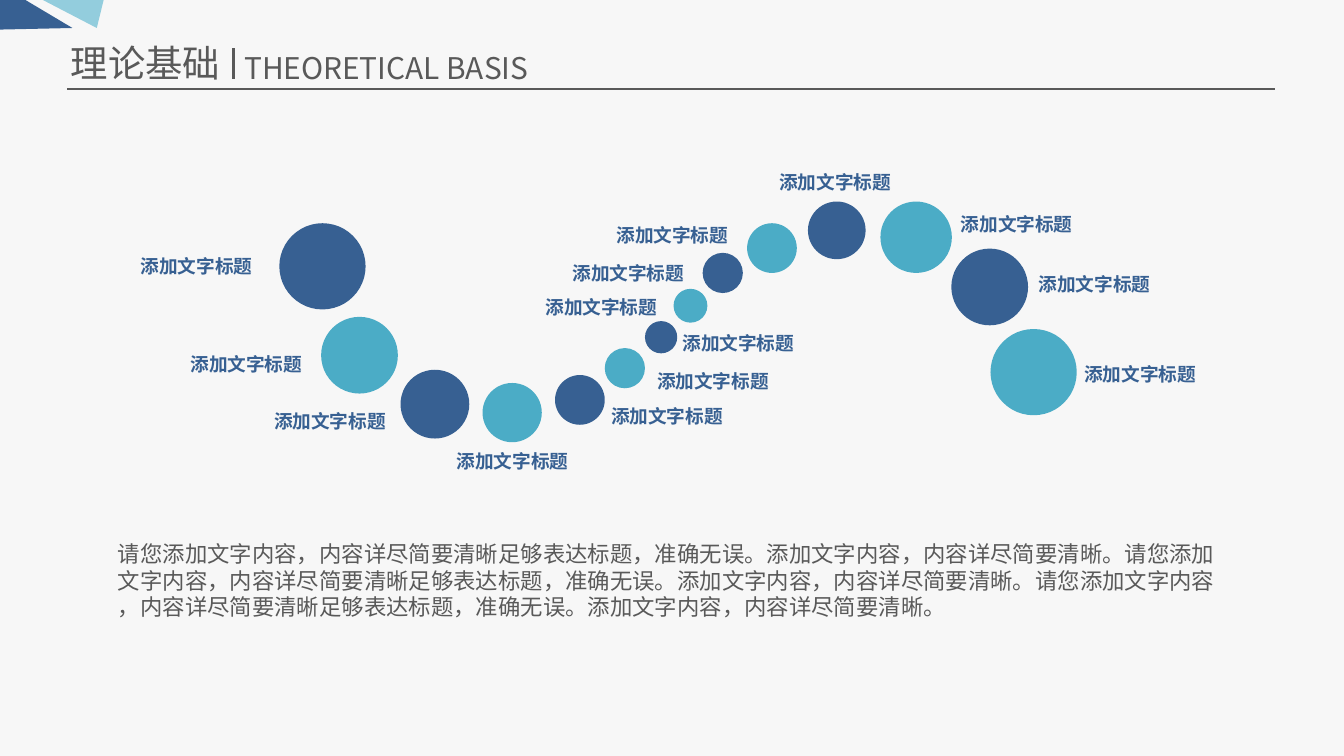
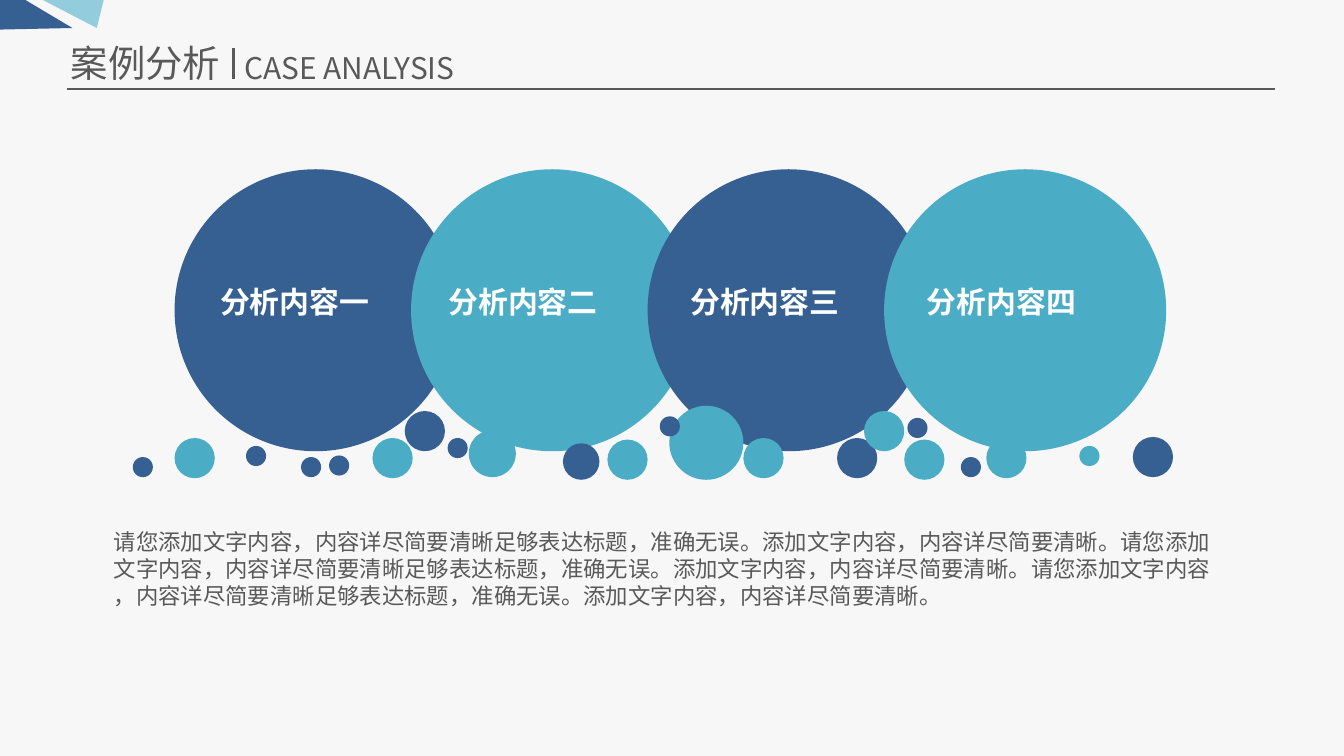
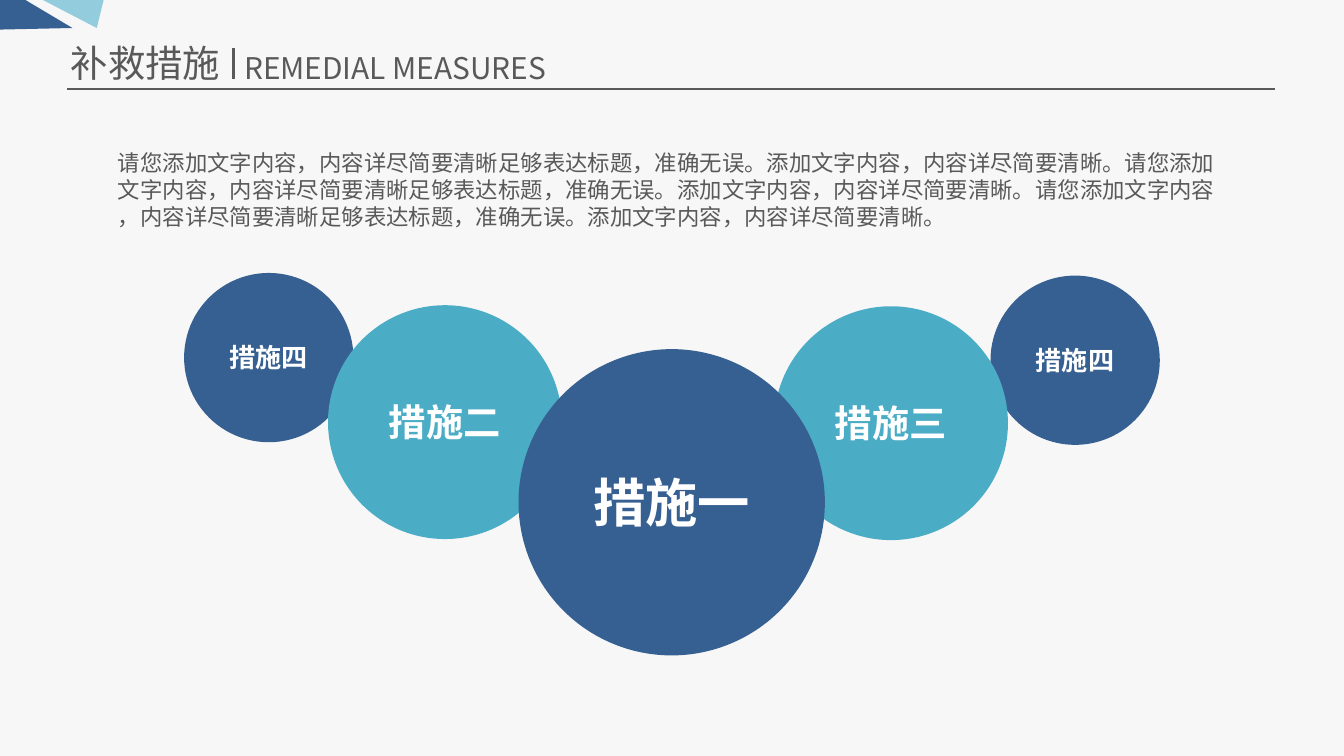
from dataclasses import dataclass
from itertools import cycle
from typing import Optional

from lxml.etree import SubElement
from pptx import Presentation
from pptx.dml.color import RGBColor
from pptx.enum.shapes import MSO_CONNECTOR, MSO_SHAPE
from pptx.enum.text import MSO_AUTO_SIZE
from pptx.oxml.ns import qn
from pptx.shapes.shapetree import GroupShapes, SlideShapes
from pptx.slide import Slide
from pptx.util import Cm, Pt

COLORS = {
    "background": "F7F7F7",
    "gray": "595959",
    "navy": "376092",
    "teal": "4BACC6",
    "sky": "93CDDD",
    "white": "FFFFFF",
}
FONT = "Noto Sans CJK SC"
BODY = "\n".join([
    "请您添加文字内容，内容详尽简要清晰足够表达标题，准确无误。添加文字内容，内容详尽简要清晰。请您添加",
    "文字内容，内容详尽简要清晰足够表达标题，准确无误。添加文字内容，内容详尽简要清晰。请您添加文字内容",
    "，内容详尽简要清晰足够表达标题，准确无误。添加文字内容，内容详尽简要清晰。",
])


@dataclass
class Bead:
    left: float
    top: float
    size: float
    label_left: float
    label_top: float


@dataclass
class Bubble:
    left: float
    top: float
    size: float
    color: str


@dataclass
class Measure:
    text: str
    left: float
    top: float
    size: float
    points: int
    color: str


BEADS = [
    Bead(5.28, 4.22, 1.63, 2.41, 4.7),
    Bead(6.07, 5.99, 1.45, 3.35, 6.55),
    Bead(7.57, 6.99, 1.3, 4.93, 7.62),
    Bead(9.12, 7.24, 1.12, 8.38, 8.38),
    Bead(10.49, 7.09, 0.94, 11.3, 7.52),
    Bead(11.43, 6.58, 0.76, 12.17, 6.86),
    Bead(12.19, 6.07, 0.61, 12.65, 6.15),
    Bead(12.73, 5.46, 0.64, 10.06, 5.46),
    Bead(13.28, 4.78, 0.76, 10.57, 4.83),
    Bead(14.12, 4.22, 0.94, 11.4, 4.11),
    Bead(15.27, 3.81, 1.09, 14.48, 3.1),
    Bead(16.64, 3.81, 1.35, 17.91, 3.89),
    Bead(17.98, 4.7, 1.45, 19.38, 5.03),
    Bead(18.72, 6.22, 1.63, 20.24, 6.73),
]

BUBBLES = [
    Bubble(12.65, 7.67, 1.4, "teal"),
    Bubble(15.82, 8.28, 0.76, "navy"),
    Bubble(7.04, 8.28, 0.76, "teal"),
    Bubble(6.22, 8.61, 0.38, "navy"),
    Bubble(17.09, 8.31, 0.76, "teal"),
    Bubble(8.46, 8.28, 0.38, "navy"),
    Bubble(18.16, 8.64, 0.38, "navy"),
    Bubble(10.64, 8.38, 0.69, "navy"),
    Bubble(18.64, 8.28, 0.76, "teal"),
    Bubble(11.48, 8.31, 0.76, "teal"),
    Bubble(20.4, 8.43, 0.38, "teal"),
    Bubble(16.33, 7.77, 0.76, "teal"),
    Bubble(5.69, 8.64, 0.38, "navy"),
    Bubble(12.47, 7.87, 0.38, "navy"),
    Bubble(8.86, 8.13, 0.89, "teal"),
    Bubble(14.05, 8.28, 0.76, "teal"),
    Bubble(3.3, 8.28, 0.76, "teal"),
    Bubble(2.51, 8.64, 0.38, "navy"),
    Bubble(7.65, 7.77, 0.76, "navy"),
    Bubble(4.65, 8.43, 0.38, "navy"),
    Bubble(17.15, 7.9, 0.38, "navy"),
    Bubble(21.41, 8.26, 0.76, "navy"),
]

MEASURES = [
    Measure("措施四", 18.72, 5.21, 3.2, 14, "navy"),
    Measure("措施四", 3.48, 5.16, 3.2, 14, "navy"),
    Measure("措施三", 14.63, 5.79, 4.42, 20, "teal"),
    Measure("措施二", 6.2, 5.77, 4.42, 20, "teal"),
    Measure("措施一", 9.8, 6.6, 5.79, 28, "navy"),
]


def rgb(color: str) -> RGBColor:
    return RGBColor.from_string(COLORS[color])


def text_width(text: str, points: int) -> float:
    return 0.51 + len(text) * points * 2.54 / 72


def text_height(text: str, points: int) -> float:
    return 0.25 + len(text.split("\n")) * points * 0.043


def add_text(shapes: SlideShapes | GroupShapes, text: str, left: float, top: float, points: int,
             color: str, bold: bool = False, width: Optional[float] = None) -> None:
    box = shapes.add_textbox(Cm(left), Cm(top), Cm(width or text_width(text, points)),
                             Cm(text_height(text, points)))
    frame = box.text_frame
    frame.word_wrap = False
    frame.auto_size = MSO_AUTO_SIZE.SHAPE_TO_FIT_TEXT
    frame.text = text
    for paragraph in frame.paragraphs:
        font = paragraph.font
        font.size = Pt(points)
        font.bold = bold
        font.color.rgb = rgb(color)
        font.name = FONT
        SubElement(paragraph._p.pPr.find(qn("a:defRPr")), qn("a:ea"), typeface=FONT)


def add_circle(shapes: SlideShapes | GroupShapes, left: float, top: float, size: float, color: str,
               kind: MSO_SHAPE = MSO_SHAPE.OVAL) -> None:
    circle = shapes.add_shape(kind, Cm(left), Cm(top), Cm(size), Cm(size))
    circle.shadow.inherit = False
    circle.fill.solid()
    circle.fill.fore_color.rgb = rgb(color)
    circle.line.fill.background()
    if kind == MSO_SHAPE.DONUT:
        circle.adjustments[0] = 0.05


def add_ringed_circle(slide: Slide, bead: Bead, color: str) -> None:
    shapes = slide.shapes.add_group_shape().shapes
    add_circle(shapes, bead.left, bead.top, bead.size, color, MSO_SHAPE.DONUT)
    inset = bead.size * 0.025
    add_circle(shapes, bead.left + inset, bead.top + inset, bead.size - 2 * inset, color)


def add_rule(slide: Slide, start: tuple[float, float], end: tuple[float, float], points: float) -> None:
    rule = slide.shapes.add_connector(MSO_CONNECTOR.STRAIGHT, *map(Cm, start + end))
    rule.line.color.rgb = rgb("gray")
    rule.line.width = Pt(points)
    SubElement(rule._element.spPr, qn("a:effectLst"))


def add_corner(shapes: GroupShapes, points: list[tuple[float, float]], color: str) -> None:
    start, *others = [(Cm(x), Cm(y)) for x, y in points]
    builder = shapes.build_freeform(*start, scale=1.0)
    builder.add_line_segments(others, close=True)
    corner = builder.convert_to_shape()
    corner.shadow.inherit = False
    corner.fill.solid()
    corner.fill.fore_color.rgb = rgb(color)
    corner.line.fill.background()


def add_slide(deck: Presentation, title: str, subtitle: str, subtitle_width: float) -> Slide:
    slide = deck.slides.add_slide(deck.slide_layouts[6])
    slide.background.fill.solid()
    slide.background.fill.fore_color.rgb = rgb("background")
    add_rule(slide, (1.27, 1.68), (24.1, 1.68), 0.75)
    corners = slide.shapes.add_group_shape().shapes
    add_corner(corners, [(0.81, 0), (1.83, 0.53), (1.96, 0)], "sky")
    add_corner(corners, [(1.37, 0.53), (0.48, 0), (0, 0), (0, 0.56)], "navy")
    add_text(slide.shapes, title, 1.09, 0.64, 20, "gray")
    add_text(slide.shapes, subtitle, 4.37, 0.81, 16, "gray", width=subtitle_width)
    add_rule(slide, (4.42, 0.91), (4.42, 1.5), 1.5)
    return slide


def add_body(slide: Slide, left: float, top: float) -> None:
    add_text(slide.shapes, BODY, left, top, 12, "gray", width=21.46)


def build_theory(deck: Presentation) -> None:
    slide = add_slide(deck, "理论基础", "THEORETICAL BASIS", 6.07)
    add_body(slide, 1.98, 10.08)
    for bead, color in zip(BEADS, cycle(["navy", "teal"])):
        add_text(slide.shapes, "添加文字标题", bead.label_left, bead.label_top, 10, "navy", bold=True)
        if color == "teal":
            add_ringed_circle(slide, bead, color)
        else:
            add_circle(slide.shapes, bead.left, bead.top, bead.size, color)


def build_cases(deck: Presentation) -> None:
    slide = add_slide(deck, "案例分析", "CASE ANALYSIS", 4.8)
    add_body(slide, 1.9, 9.86)
    for index, color in enumerate(["navy", "teal"] * 2):
        add_circle(slide.shapes, 3.3 + index * 4.47, 3.2, 5.33, color)
    for numeral, left in zip("一二三四", [3.91, 8.23, 12.8, 17.27]):
        add_text(slide.shapes, f"分析内容{numeral}", left, 5.23, 16, "white", bold=True)
    for bubble in BUBBLES:
        add_circle(slide.shapes, bubble.left, bubble.top, bubble.size, bubble.color)


def build_measures(deck: Presentation) -> None:
    slide = add_slide(deck, "补救措施", "REMEDIAL MEASURES", 6.65)
    add_body(slide, 1.98, 2.69)
    for measure in MEASURES:
        shapes = slide.shapes.add_group_shape().shapes
        add_circle(shapes, measure.left, measure.top, measure.size, measure.color)
        label_left = measure.left + (measure.size - text_width(measure.text, measure.points)) / 2
        label_top = measure.top + (measure.size - text_height(measure.text, measure.points)) / 2
        add_text(shapes, measure.text, label_left, label_top, measure.points, "white", bold=True)


def main() -> None:
    deck = Presentation()
    deck.slide_width = Cm(25.4)
    deck.slide_height = Cm(14.29)
    build_theory(deck)
    build_cases(deck)
    build_measures(deck)
    deck.save("out.pptx")


if __name__ == "__main__":
    main()
